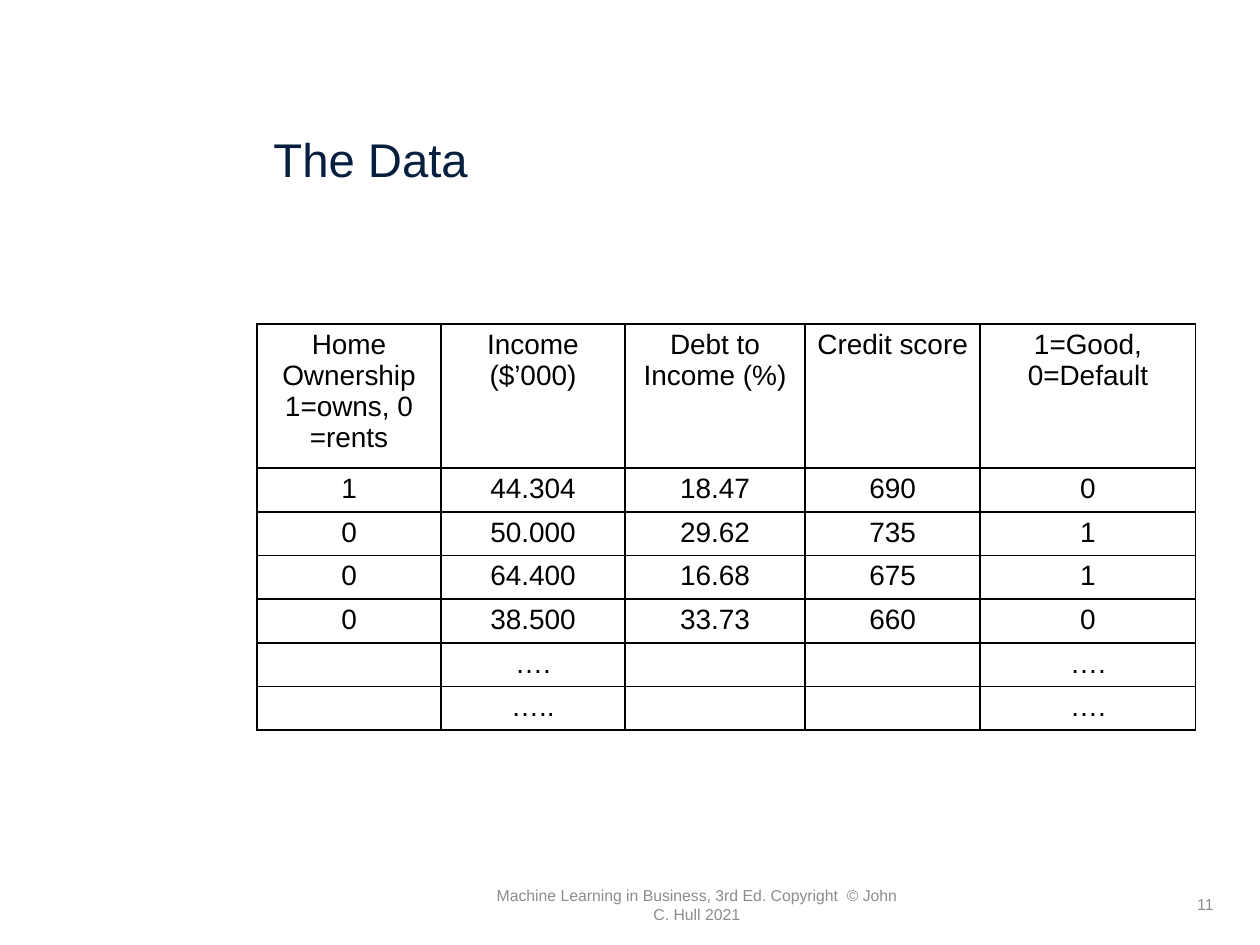
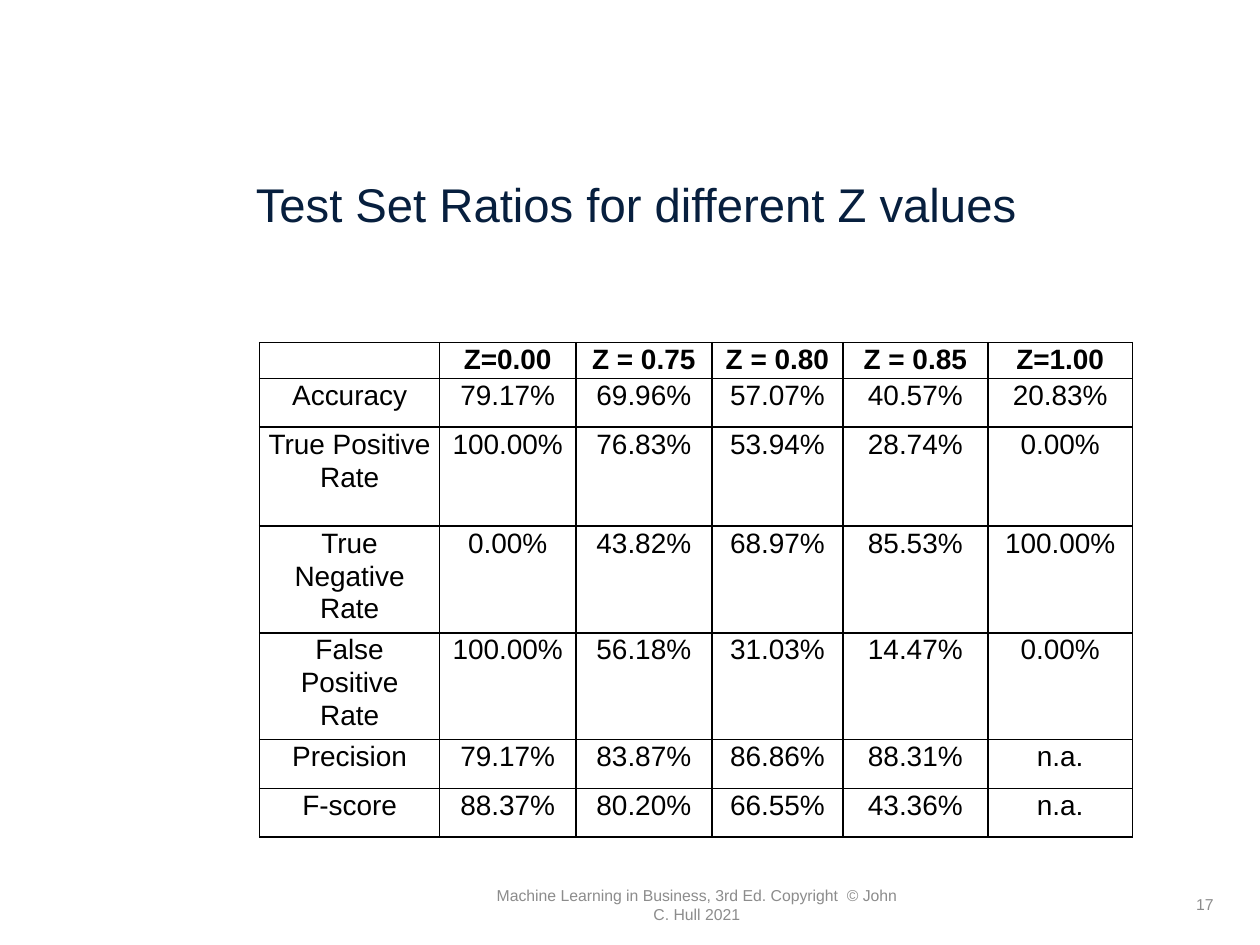
from lxml import etree
from pptx import Presentation
from pptx.dml.color import RGBColor
from pptx.enum.text import MSO_ANCHOR, MSO_AUTO_SIZE, PP_ALIGN
from pptx.oxml.ns import qn
from pptx.util import Inches, Pt

LEFT, CENTER, RIGHT = PP_ALIGN.LEFT, PP_ALIGN.CENTER, PP_ALIGN.RIGHT
MIDDLE = MSO_ANCHOR.MIDDLE
NO_AUTOFIT = MSO_AUTO_SIZE.NONE

NAVY = RGBColor(0x07, 0x1F, 0x3E)
GREY = RGBColor(0x8C, 0x8C, 0x8C)
BLACK = RGBColor(0x00, 0x00, 0x00)
WHITE = RGBColor(0xFF, 0xFF, 0xFF)

FONT = "Arial"
TITLE_SIZE, TABLE_SIZE, FOOTER_SIZE = 27, 16, 9
TITLE_ONLY = 5
GRID_COLUMNS, GRID_ROWS = 100, 75
FOOTER_TOP, FOOTER_HEIGHT = 69.8, 4
COPYRIGHT = "Machine Learning in Business, 3rd Ed. Copyright  © John C. Hull 2021"

LOANS = [
    ["Home Ownership\n1=owns, 0 =rents", "Income ($’000)", "Debt to Income (%)",
     "Credit score", "1=Good, 0=Default"],
    ["1", "44.304", "18.47", "690", "0"],
    ["0", "50.000", "29.62", "735", "1"],
    ["0", "64.400", "16.68", "675", "1"],
    ["0", "38.500", "33.73", "660", "0"],
    ["", "….", "", "", "…."],
    ["", "…..", "", "", "…."],
]

RATIOS = [
    ["", "Z=0.00", "Z = 0.75", "Z = 0.80", "Z = 0.85", "Z=1.00"],
    ["Accuracy", "79.17%", "69.96%", "57.07%", "40.57%", "20.83%"],
    ["True Positive Rate", "100.00%", "76.83%", "53.94%", "28.74%", "0.00%"],
    ["True Negative Rate", "0.00%", "43.82%", "68.97%", "85.53%", "100.00%"],
    ["False Positive Rate", "100.00%", "56.18%", "31.03%", "14.47%", "0.00%"],
    ["Precision", "79.17%", "83.87%", "86.86%", "88.31%", "n.a."],
    ["F-score", "88.37%", "80.20%", "66.55%", "43.36%", "n.a."],
]


class Deck:
    """Holds the shared style and the current slide; lengths are grid units."""

    def __init__(self):
        self.presentation = Presentation()
        self.presentation.slide_width = Inches(10)
        self.presentation.slide_height = Inches(7.5)
        self.slide = None

    def across(self, columns):
        return round(self.presentation.slide_width * columns / GRID_COLUMNS)

    def down(self, rows):
        return round(self.presentation.slide_height * rows / GRID_ROWS)

    def area(self, left, top, width, height):
        return self.across(left), self.down(top), self.across(width), self.down(height)

    def style(self, paragraph, size, color, align, bold=False, spacing=None):
        paragraph.alignment = align
        if spacing:
            paragraph.line_spacing = spacing
        font = paragraph.font
        font.name, font.size, font.bold = FONT, Pt(size), bold
        font.color.rgb = color

    def new_slide(self, title, title_area, number):
        layout = self.presentation.slide_layouts[TITLE_ONLY]
        self.slide = self.presentation.slides.add_slide(layout)
        background = self.slide.background.fill
        background.solid()
        background.fore_color.rgb = WHITE
        self.title(title, title_area)
        self.footer(COPYRIGHT, 38.4, 33.8, CENTER)
        self.footer(str(number), 74.8, 22.5, RIGHT)

    def title(self, text, title_area):
        heading = self.slide.shapes.title
        heading.left, heading.top, heading.width, heading.height = self.area(*title_area)
        frame = heading.text_frame
        frame.text = text
        frame.auto_size = NO_AUTOFIT
        frame.vertical_anchor = MIDDLE
        self.style(frame.paragraphs[0], TITLE_SIZE, NAVY, LEFT, spacing=0.9)

    def footer(self, text, left, width, align):
        place = self.area(left, FOOTER_TOP, width, FOOTER_HEIGHT)
        frame = self.slide.shapes.add_textbox(*place).text_frame
        frame.word_wrap = True
        frame.vertical_anchor = MIDDLE
        frame.text = text
        self.style(frame.paragraphs[0], FOOTER_SIZE, GREY, align)

    def table(self, records, left, top, widths, heights, padding=0.0,
              bold_header=False, spacing=None):
        place = self.area(left, top, sum(widths), sum(heights))
        grid = self.slide.shapes.add_table(len(records), len(widths), *place).table
        grid.first_row = grid.horz_banding = False
        for column, width in zip(grid.columns, widths):
            column.width = self.across(width)
        for row, height in zip(grid.rows, heights):
            row.height = self.down(height)
        for r, record in enumerate(records):
            for c, text in enumerate(record):
                self.cell(grid.cell(r, c), text, padding,
                          bold_header and r == 0, spacing)

    def cell(self, cell, text, padding, bold, spacing):
        cell.text = text
        cell.margin_left = cell.margin_right = self.across(0.7)
        cell.margin_top = cell.margin_bottom = self.down(padding)
        self.borders(cell)
        cell.fill.background()
        for paragraph in cell.text_frame.paragraphs:
            self.style(paragraph, TABLE_SIZE, BLACK, CENTER, bold, spacing)
            if not text:
                end = etree.SubElement(paragraph._p, qn("a:endParaRPr"))
                end.set("sz", str(TABLE_SIZE * 100))

    def borders(self, cell):
        properties = cell._tc.get_or_add_tcPr()
        for side in ("a:lnL", "a:lnR", "a:lnT", "a:lnB"):
            line = etree.SubElement(properties, qn(side), w=str(Pt(1)))
            fill = etree.SubElement(line, qn("a:solidFill"))
            etree.SubElement(fill, qn("a:srgbClr"), val=str(BLACK))


def main():
    deck = Deck()

    deck.new_slide("The Data", (20.7, 7.4, 72.4, 11), 11)
    deck.table(LOANS, 20.4, 25.7, widths=[14.6, 14.6, 14.3, 13.9, 17.1],
               heights=[10.6] + [3.23] * 6, padding=0.4)

    deck.new_slide("Test Set Ratios for different Z values",
                   (19.3, 10.2, 68.4, 12.5), 17)
    deck.table(RATIOS, 20.6, 27.2, widths=[14.3, 10.8, 10.8, 10.4, 11.5, 11.5],
               heights=[2.6, 3.87] + [7.86] * 3 + [3.87] * 2,
               bold_header=True, spacing=1.06)

    deck.presentation.save("out.pptx")


if __name__ == "__main__":
    main()
